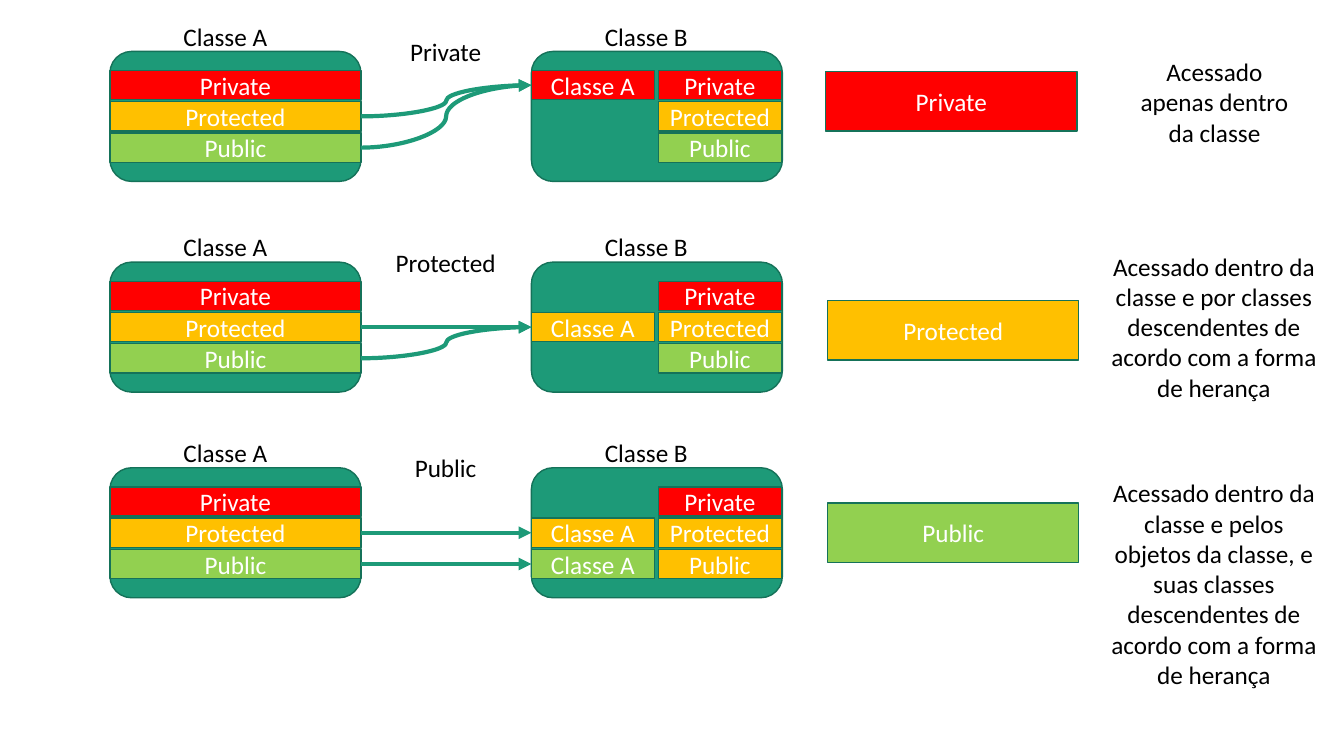
from dataclasses import dataclass

from lxml.etree import SubElement
from pptx import Presentation
from pptx.dml.color import RGBColor
from pptx.enum.shapes import MSO_CONNECTOR as Link, MSO_SHAPE as Preset
from pptx.enum.text import MSO_ANCHOR as Anchor, MSO_AUTO_SIZE as AutoSize, PP_ALIGN as Align
from pptx.oxml.ns import qn
from pptx.util import Inches, Pt


@dataclass(frozen=True)
class Theme:
    """Colours, font and sizes of the slide."""
    panel: str = "1D9A78"
    outline: str = "157259"
    private: str = "FF0000"
    protected: str = "FFC000"
    public: str = "92D050"
    light: str = "FFFFFF"
    dark: str = "000000"
    font: str = "Calibri"
    text_size: int = 18
    outline_width: int = 1
    arrow_width: int = 3


THEME = Theme()
MEMBERS = ("Private", "Protected", "Public")
FILLS = (THEME.private, THEME.protected, THEME.public)
CLASS_A_LEFT, CLASS_B_LEFT = 1.09, 5.27
CLASS_WIDTH, CLASS_HEIGHT = 2.49, 1.29
HALF_WIDTH, HALF_OFFSET = 1.22, 1.26
BAR_HEIGHT, BAR_STEP, BAR_OFFSET = 0.29, 0.31, 0.19

INHERITANCES = (
    dict(mode="Private", top=0.51, links={1: 0, 2: 0}, b_fills=FILLS),
    dict(mode="Protected", top=2.6, links={1: 1, 2: 1}, b_fills=FILLS),
    dict(mode="Public", top=4.64, links={1: 1, 2: 2},
         b_fills=(THEME.private, THEME.protected, THEME.protected)),
)

LEGEND = (
    ((8.19, 0.71), (11.12, 0.51, 1.85, 1.01), "Acessado apenas dentro da classe"),
    ((8.21, 2.98), (10.91, 2.44, 2.26, 1.62),
     "Acessado dentro da classe e por classes descendentes de acordo com a forma de herança"),
    ((8.21, 4.99), (10.91, 4.69, 2.26, 2.22),
     "Acessado dentro da classe e pelos objetos da classe, e suas classes "
     "descendentes de acordo com a forma de herança"),
)


def write(frame, text, color=THEME.dark, align=Align.CENTER, anchor=Anchor.TOP):
    """Write one formatted paragraph in a text frame."""
    frame.word_wrap = True
    frame.vertical_anchor = anchor
    paragraph = frame.paragraphs[0]
    paragraph.alignment = align
    run = paragraph.add_run()
    run.text = text
    run.font.name = THEME.font
    run.font.size = Pt(THEME.text_size)
    run.font.color.rgb = RGBColor.from_string(color)


def add_label(slide, text, left, top, width=HALF_WIDTH, height=0.4, **style):
    """Add dark text that stands on the slide background."""
    label = slide.shapes.add_textbox(Inches(left), Inches(top), Inches(width), Inches(height))
    write(label.text_frame, text, **style)
    label.text_frame.auto_size = AutoSize.SHAPE_TO_FIT_TEXT


def add_box(shapes, fill, left, top, width, height, text="", preset=Preset.RECTANGLE):
    """Add an outlined box with optional light text."""
    box = shapes.add_shape(preset, Inches(left), Inches(top), Inches(width), Inches(height))
    box.shadow.inherit = False
    box.fill.solid()
    box.fill.fore_color.rgb = RGBColor.from_string(fill)
    box.line.color.rgb = RGBColor.from_string(THEME.outline)
    box.line.width = Pt(THEME.outline_width)
    if text:
        write(box.text_frame, text, color=THEME.light, anchor=Anchor.MIDDLE)
    return box


def bar_top(class_top, slot):
    """Return the top of a member slot inside a class."""
    return class_top + BAR_OFFSET + slot * BAR_STEP


def add_class(slide, title, left, top, fills, bar_offset=0, bar_width=CLASS_WIDTH):
    """Add a titled class with its grouped member bars and return the bars."""
    group = slide.shapes.add_group_shape()
    add_box(group.shapes, THEME.panel, left, top, CLASS_WIDTH, CLASS_HEIGHT,
            preset=Preset.ROUNDED_RECTANGLE)
    bars = [
        add_box(group.shapes, fill, left + bar_offset, bar_top(top, slot),
                bar_width, BAR_HEIGHT, text=member)
        for slot, (member, fill) in enumerate(zip(MEMBERS, fills))
    ]
    add_label(slide, title, left + 0.63, top - 0.35, align=Align.LEFT)
    return bars


def add_arrow(slide, source, target):
    """Join the right side of one bar to the left side of another."""
    arrow = slide.shapes.add_connector(Link.CURVE, 0, 0, 0, 0)
    arrow.begin_connect(source, 3)
    arrow.end_connect(target, 1)
    arrow.line.color.rgb = RGBColor.from_string(THEME.panel)
    arrow.line.width = Pt(THEME.arrow_width)
    SubElement(arrow.line._get_or_add_ln(), qn("a:tailEnd"), type="triangle")
    SubElement(arrow._element.spPr, qn("a:effectLst"))


def add_inheritance(slide, mode, top, links, b_fills):
    """Add one inheritance mode from Classe A to Classe B."""
    members = add_class(slide, "Classe A", CLASS_A_LEFT, top, FILLS)
    add_class(slide, "Classe B", CLASS_B_LEFT, top, b_fills, HALF_OFFSET, HALF_WIDTH)
    add_label(slide, mode, 3.81, top - 0.2)
    inherited = {
        slot: add_box(slide.shapes, FILLS[slot], CLASS_B_LEFT, bar_top(top, slot),
                      HALF_WIDTH, BAR_HEIGHT, text="Classe A")
        for slot in sorted(set(links.values()))
    }
    for source, slot in links.items():
        add_arrow(slide, members[source], inherited[slot])


def main():
    """Build the slide and save it."""
    deck = Presentation()
    deck.slide_width, deck.slide_height = Inches(13.33), Inches(7.5)
    slide = deck.slides.add_slide(deck.slide_layouts[6])
    for inheritance in INHERITANCES:
        add_inheritance(slide, **inheritance)
    for member, fill, (key_at, note_at, note) in zip(MEMBERS, FILLS, LEGEND):
        add_box(slide.shapes, fill, *key_at, CLASS_WIDTH, 0.59, text=member)
        add_label(slide, note, *note_at)
    deck.save("out.pptx")


if __name__ == "__main__":
    main()
